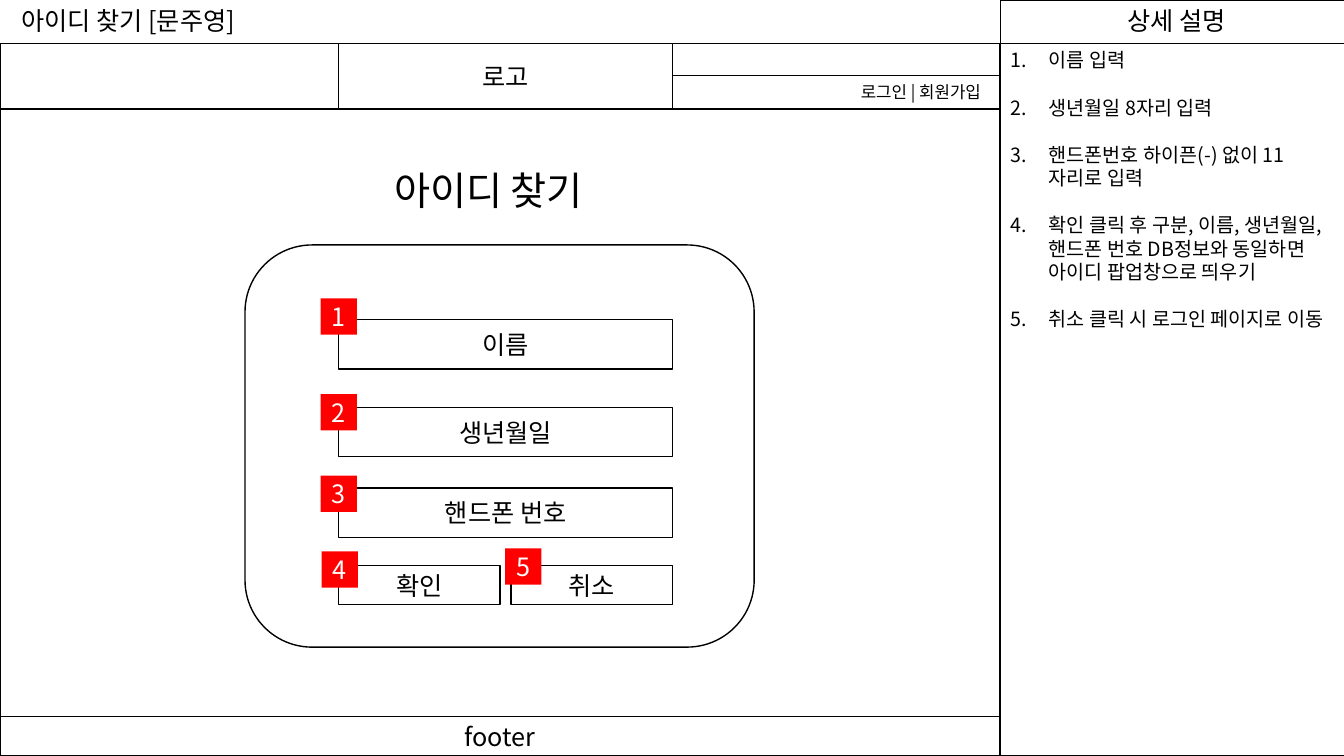
import lxml.etree
import pptx
import pptx.dml.color
import pptx.enum.shapes
import pptx.enum.text
import pptx.oxml.ns
import pptx.util

Inches = pptx.util.Inches
Align = pptx.enum.text.PP_ALIGN
Anchor = pptx.enum.text.MSO_ANCHOR
Shape = pptx.enum.shapes.MSO_SHAPE


def paint(code):
    return pptx.dml.color.RGBColor.from_string(code)


def add_tag(parent, tag, **values):
    return lxml.etree.SubElement(parent, pptx.oxml.ns.qn(tag), values)


def write(frame, text, font="Noto Sans CJK KR", size=18, color="000000",
          align=Align.CENTER, anchor=Anchor.MIDDLE, wrap=True,
          right=0.1, gap=0, number=False):
    frame.auto_size = pptx.enum.text.MSO_AUTO_SIZE.NONE
    frame.word_wrap = wrap
    frame.vertical_anchor = anchor
    frame.margin_left, frame.margin_right = Inches(0.1), Inches(right)
    frame.margin_top = frame.margin_bottom = Inches(0.05)
    for index, line in enumerate(text.split("\n")):
        para = frame.add_paragraph() if index else frame.paragraphs[0]
        if number:
            props = para._p.get_or_add_pPr()
            props.set("marL", str(Inches(0.38)))
            props.set("indent", str(Inches(-0.38)))
            add_tag(props, "a:buFont", typeface="+mj-lt")
            add_tag(props, "a:buAutoNum", type="arabicPeriod")
        para.alignment = align
        para.line_spacing = 1.0
        para.space_before = pptx.util.Pt(gap if index else 0)
        run = para.add_run()
        run.text = line
        run.font.size = pptx.util.Pt(size)
        run.font.color.rgb = paint(color)
        run.font.name = font
        add_tag(run._r.get_or_add_rPr(), "a:ea", typeface=font)


class Wireframe:
    ink = "000000"
    paper = "FFFFFF"
    accent = "FF0000"

    def __init__(self, deck):
        self.slide = deck.slides.add_slide(deck.slide_layouts[1])

    def box(self, left, top, width, height, text="", kind=Shape.RECTANGLE,
            fill=paper, line=ink, **style):
        shape = self.slide.shapes.add_shape(
            kind, Inches(left), Inches(top), Inches(width), Inches(height))
        shape.shadow.inherit = False
        shape.fill.solid()
        shape.fill.fore_color.rgb = paint(fill)
        if line:
            shape.line.color.rgb = paint(line)
            shape.line.width = pptx.util.Pt(1)
        else:
            shape.line.fill.background()
        if text:
            write(shape.text_frame, text, **style)

    def badge(self, left, top, text):
        self.box(left, top, 0.36, 0.36, text, fill=self.accent, line=None,
                 color=self.paper)

    def label(self, left, top, width, height, text, **style):
        item = self.slide.shapes.add_textbox(
            Inches(left), Inches(top), Inches(width), Inches(height))
        write(item.text_frame, text, align=Align.LEFT, anchor=Anchor.TOP,
              wrap=False, **style)

    def holder(self, item, left, top, width, height, text, **style):
        item.left, item.top = Inches(left), Inches(top)
        item.width, item.height = Inches(width), Inches(height)
        item._element.getparent().append(item._element)
        write(item.text_frame, text, align=Align.LEFT, anchor=Anchor.TOP, **style)


def main():
    deck = pptx.Presentation()
    deck.slide_width, deck.slide_height = Inches(13.33), Inches(7.5)
    page = Wireframe(deck)
    title, body = page.slide.placeholders
    split, head, bar = 9.92, 0.43, 1.08
    field, span = 3.36, 3.31

    page.box(split, head, 3.42, 7.07)
    page.box(split, 0, 3.42, head)
    page.label(11.08, 0, 1.3, 0.4, "상세 설명")
    page.holder(title, 0.11, 0, 2.55, 0.4, "아이디 찾기 [문주영]", wrap=False)
    notes = [
        "이름 입력",
        "생년월일 8자리 입력",
        "핸드폰번호 하이픈(-) 없이 11자리로 입력",
        "확인 클릭 후 구분, 이름, 생년월일, 핸드폰 번호 DB정보와 동일하면 아이디 팝업창으로 띄우기",
        "취소 클릭 시 로그인 페이지로 이동",
    ]
    page.holder(body, split, head, 3.41, 3.87, "\n".join(notes),
                size=14, gap=16.8, number=True)

    page.box(0, head, split, bar - head)
    page.box(field, head, span, bar - head, "로고")
    page.box(6.67, 0.75, 3.25, 0.33, "로그인 | 회원가입", size=12,
             align=Align.RIGHT, right=0.19)
    page.box(0, 7.11, split, 0.39, "footer")
    page.box(0, bar, split, 6.03)
    page.label(3.81, 1.6, 2.3, 0.57, "아이디 찾기", size=28)
    page.box(2.43, 2.43, 5.05, 3.99, kind=Shape.ROUNDED_RECTANGLE)

    for top, text in ((3.17, "이름"), (4.04, "생년월일"), (4.84, "핸드폰 번호")):
        page.box(field, top, span, 0.49, text)
    for left, text in ((field, "확인"), (5.07, "취소")):
        page.box(left, 5.61, 1.6, 0.39, text)
    spots = ((3.18, 2.96), (3.18, 3.91), (3.18, 4.72), (3.19, 5.47), (5.01, 5.44))
    for count, (left, top) in enumerate(spots, 1):
        page.badge(left, top, str(count))

    deck.save("out.pptx")


if __name__ == "__main__":
    main()
